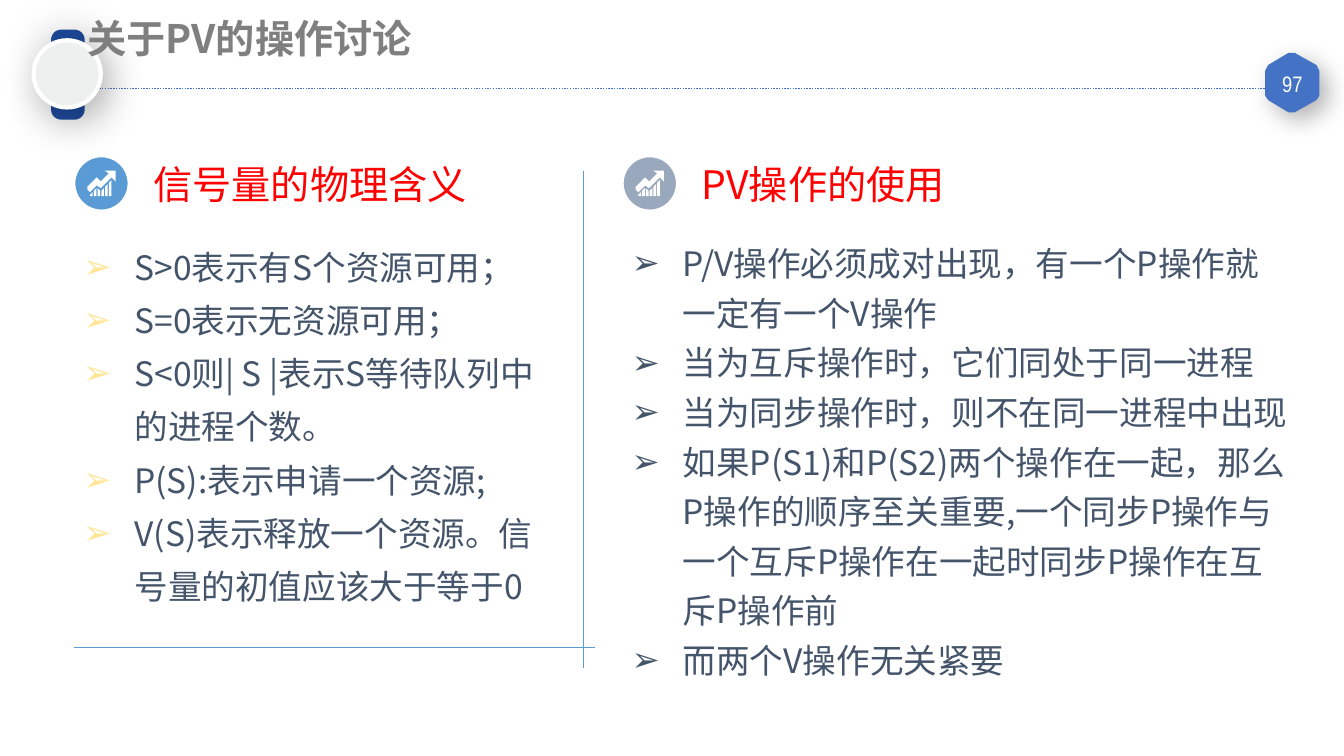
from lxml.etree import SubElement
from pptx import Presentation
from pptx.dml.color import RGBColor
from pptx.enum.dml import MSO_LINE
from pptx.enum.shapes import MSO_CONNECTOR, MSO_SHAPE
from pptx.enum.text import MSO_ANCHOR, MSO_AUTO_SIZE, PP_ALIGN
from pptx.oxml.ns import qn
from pptx.util import Inches, Pt

CJK = "Noto Sans CJK SC"
HEXAGON = [(9.42, 0.53), (9.44, 0.49), (9.59, 0.4), (9.63, 0.4), (9.79, 0.49), (9.81, 0.53),
           (9.81, 0.71), (9.79, 0.74), (9.63, 0.83), (9.59, 0.83), (9.44, 0.74), (9.42, 0.71)]
ARROW = [(0.23, 0.11), (0.31, 0.11), (0.31, 0.19), (0.28, 0.16), (0.2, 0.24), (0.17, 0.22),
         (0.12, 0.27), (0.1, 0.25), (0.1, 0.23), (0.17, 0.16), (0.2, 0.19), (0.26, 0.13)]
BAR_TOPS = [(0.29, 0.27), (0.26, 0.24), (0.24, 0.26), (0.26, 0.24), (0.23, 0.21), (0.2, 0.18)]
SECTIONS = [
    dict(left=0.55, heading="信号量的物理含义", size=(3.68, 2.89), spacing=1.32,
         circle="5B9BD5", bullet="FFE699",
         items=["S>0表示有S个资源可用；", "S=0表示无资源可用；",
                "S<0则| S |表示S等待队列中的进程个数。", "P(S):表示申请一个资源;",
                "V(S)表示释放一个资源。信号量的初值应该大于等于0"]),
    dict(left=4.63, heading="PV操作的使用", size=(5.03, 3.42), spacing=1.23,
         circle="99A8BD", bullet="44546A",
         items=["P/V操作必须成对出现，有一个P操作就一定有一个V操作",
                "当为互斥操作时，它们同处于同一进程", "当为同步操作时，则不在同一进程中出现",
                "如果P(S1)和P(S2)两个操作在一起，那么P操作的顺序至关重要,"
                "一个同步P操作与一个互斥P操作在一起时同步P操作在互斥P操作前",
                "而两个V操作无关紧要"]),
]


def rgb(value):
    """Turn a hex string into a colour."""
    return RGBColor.from_string(value)


def paint(sp, fill, line=None, width=1):
    """Give a shape its fill and outline, without a shadow."""
    sp.shadow.inherit = False
    sp.fill.solid()
    sp.fill.fore_color.rgb = rgb(fill)
    if line:
        sp.line.color.rgb = rgb(line)
        sp.line.width = Pt(width)
    else:
        sp.line.fill.background()
    return sp


def add_shadow(sp, alpha, blur, dist=0, angle=0):
    """Give a shape a soft black outer shadow."""
    effects = sp._element.spPr.find(qn("a:effectLst"))
    shadow = SubElement(effects, qn("a:outerShdw"), blurRad=str(Pt(blur)), dist=str(Pt(dist)),
                        dir=str(angle * 60000), algn="ctr", rotWithShape="0")
    color = SubElement(shadow, qn("a:srgbClr"), val="000000")
    SubElement(color, qn("a:alpha"), val=str(alpha * 1000))


def add_preset(shapes, kind, box, *style):
    """Add a painted preset shape."""
    return paint(shapes.add_shape(kind, *map(Inches, box)), *style)


def add_outline(shapes, contours, *style):
    """Add a painted freeform made of closed contours."""
    builder = None
    for contour in contours:
        points = [(Inches(x), Inches(y)) for x, y in contour]
        if builder:
            builder.move_to(*points[0])
        else:
            builder = shapes.build_freeform(*points[0])
        builder.add_line_segments(points[1:], close=True)
    return paint(builder.convert_to_shape(), *style)


def add_line(shapes, start, end, color, width, dash=None):
    """Add a straight line."""
    line = shapes.add_connector(MSO_CONNECTOR.STRAIGHT, *map(Inches, start + end))
    line.line.color.rgb = rgb(color)
    line.line.width = Pt(width)
    if dash:
        line.line.dash_style = dash
    SubElement(line._element.spPr, qn("a:effectLst"))


def add_run(p, text, size, color, font=CJK, bold=False):
    """Add a run in one font for all scripts."""
    r = p.add_run()
    r.text = text
    for name, value in dict(size=Pt(size), name=font, bold=bold).items():
        setattr(r.font, name, value)
    r.font.color.rgb = rgb(color)
    SubElement(r._r.get_or_add_rPr(), qn("a:ea"), typeface=font)


def add_box(shapes, box, inset=(0.07, 0.04), anchor=MSO_ANCHOR.MIDDLE):
    """Add a wrapping text box and return its frame."""
    tf = shapes.add_textbox(*map(Inches, box)).text_frame
    x, y = map(Inches, inset)
    settings = dict(word_wrap=True, vertical_anchor=anchor, margin_left=x, margin_right=x,
                    margin_top=y, margin_bottom=y)
    for name, value in settings.items():
        setattr(tf, name, value)
    return tf


def add_bullet(p, color):
    """Set a hanging arrow bullet on a paragraph."""
    pPr = p._p.get_or_add_pPr()
    pPr.set("marL", str(Inches(0.38)))
    pPr.set("indent", str(-Inches(0.38)))
    SubElement(SubElement(pPr, qn("a:buClr")), qn("a:srgbClr"), val=color)
    SubElement(pPr, qn("a:buFont"), typeface="Arial")
    SubElement(pPr, qn("a:buChar"), char="➢")


def add_icon(shapes, left, top, color):
    """Add a round badge with a rising chart."""
    add_preset(shapes, MSO_SHAPE.OVAL, (left, top, 0.41, 0.41), color, "FFFFFF", 1.5)
    contours = [ARROW]
    for i, (y1, y2) in enumerate(BAR_TOPS):
        x = 0.12 + i * 0.14 / 5
        contours.append([(x, y1), (x + 0.02, y2), (x + 0.02, 0.3), (x, 0.3)])
    add_outline(shapes, [[(left + x, top + y) for x, y in c] for c in contours], "FFFFFF")


def add_section(slide, left, heading, size, spacing, circle, bullet, items):
    """Add a column with icon, heading and bullet list."""
    shapes = slide.shapes.add_group_shape().shapes
    tf = add_box(shapes, (left + 0.52, 1.21, 4.09, 0.32))
    add_run(tf.paragraphs[0], heading, 21, "FF0000")
    tf = add_box(shapes, (left, 1.7, *size), anchor=MSO_ANCHOR.TOP)
    for i, item in enumerate(items):
        p = tf.add_paragraph() if i else tf.paragraphs[0]
        p.level = 1
        p.line_spacing = spacing
        add_bullet(p, bullet)
        add_run(p, item, 18, "44546A")
    add_icon(shapes, left, 1.16, circle)


def add_header(shapes):
    """Add the rule, page badge, ornament and title."""
    add_line(shapes, (0.33, 0.66), (9.43, 0.66), "4472C4", 0.75, MSO_LINE.ROUND_DOT)
    add_shadow(add_outline(shapes, [HEXAGON], "4472C4", "4472C4"), 30, 13, 6, 45)
    p = add_box(shapes, (9.42, 0.5, 0.39, 0.25)).paragraphs[0]
    p.alignment = PP_ALIGN.CENTER
    add_run(p, "97", 12, "FFFFFF", "Arial Narrow")
    bar = add_preset(shapes, MSO_SHAPE.ROUNDED_RECTANGLE, (0.17, 0.43, 0.67, 0.25), "1D4999")
    bar.rotation = 270
    bar.adjustments[0] = 0.3
    add_shadow(bar, 17, 27)
    disc = add_preset(shapes, MSO_SHAPE.OVAL, (0.25, 0.3, 0.5, 0.5), "EEF0F0", "FFFFFF", 2.25)
    add_shadow(disc, 28, 22, 6, 45)
    tf = add_box(shapes, (0.55, 0.06, 5.76, 0.45), (0.1, 0.05), MSO_ANCHOR.TOP)
    tf.auto_size = MSO_AUTO_SIZE.SHAPE_TO_FIT_TEXT
    add_run(tf.paragraphs[0], "关于PV的操作讨论", 21, "7F7F7F", bold=True)


def main():
    """Build and save the slide."""
    prs = Presentation()
    prs.slide_width = Inches(10)
    prs.slide_height = prs.slide_width * 9 // 16
    slide = prs.slides.add_slide(prs.slide_layouts[6])
    add_header(slide.shapes)
    for section in SECTIONS:
        add_section(slide, **section)
    add_line(slide.shapes, (4.34, 1.27), (4.34, 4.97), "5B9BD5", 0.5)
    add_line(slide.shapes, (0.55, 4.82), (4.43, 4.82), "5B9BD5", 0.5)
    prs.save("out.pptx")


if __name__ == "__main__":
    main()
